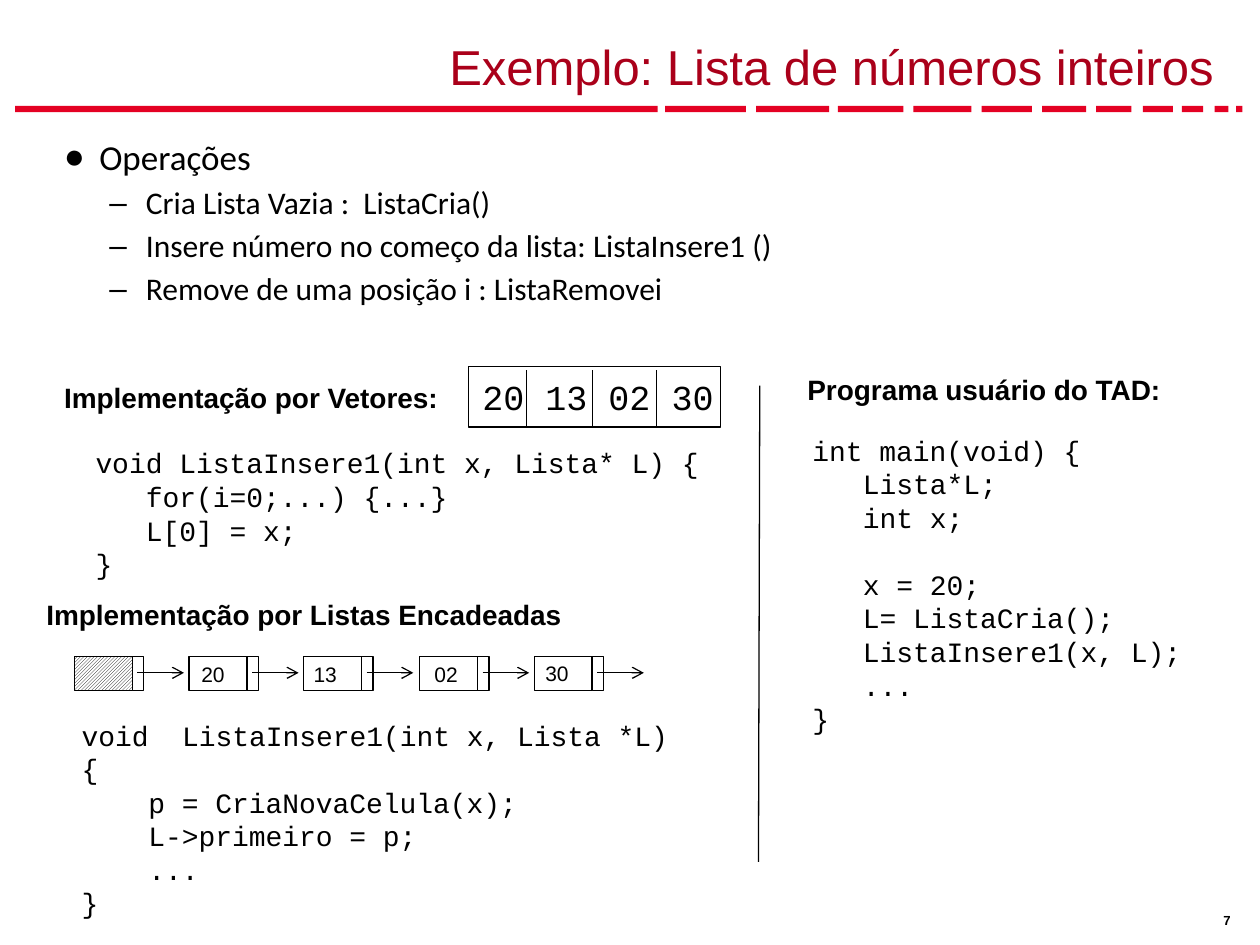
from dataclasses import dataclass

from lxml import etree
from pptx import Presentation
from pptx.dml.color import RGBColor as Rgb
from pptx.enum.dml import MSO_PATTERN as Pattern
from pptx.enum.shapes import MSO_CONNECTOR as Connector, MSO_SHAPE as Shape
from pptx.enum.text import MSO_ANCHOR as Anchor, PP_ALIGN as Align
from pptx.oxml.ns import qn
from pptx.util import Pt

PX = 9144  # 100 px to the inch


@dataclass(frozen=True)
class Theme:
    black: Rgb = Rgb(0, 0, 0)
    white: Rgb = Rgb(255, 255, 255)
    bar: Rgb = Rgb(0xE4, 0x01, 0x23)
    title: Rgb = Rgb(0xAA, 0x00, 0x1A)
    sans: str = "Arial"
    body: str = "Calibri"
    mono: str = "Courier New"
    title_size: float = 28
    big_size: float = 20
    item_size: float = 18
    text_size: float = 16
    cell_size: float = 12
    number_size: float = 7.5
    line: float = 0.75


theme = Theme()
deck = Presentation()
deck.slide_width, deck.slide_height = 1000 * PX, 750 * PX
page = deck.slides.add_slide(deck.slide_layouts[6])


def add_text(at, lines, font, size, color=theme.black, bold=False, wrap=True, inset=(10, 5)):
    box = page.shapes.add_textbox(*(value * PX for value in at))
    frame = box.text_frame
    frame.word_wrap = wrap
    frame.margin_left = frame.margin_right = inset[0] * PX
    frame.margin_top = frame.margin_bottom = inset[1] * PX
    frame.text = "\n".join(lines)
    for para in frame.paragraphs:
        para.font.name, para.font.size, para.font.bold = font, Pt(size), bold
        para.font.color.rgb = color
    return frame


def add_line(x1, y1, x2, y2, arrow=False):
    line = page.shapes.add_connector(Connector.STRAIGHT, x1 * PX, y1 * PX, x2 * PX, y2 * PX)
    line.line.color.rgb, line.line.width = theme.black, Pt(theme.line)
    if arrow:
        etree.SubElement(line.line._get_or_add_ln(), qn("a:tailEnd"), type="arrow")
    etree.SubElement(line._element.spPr, qn("a:effectLst"))


# Dashed bar under the title: left and width of each piece
pieces = [(12, 510), (528, 64), (600, 58), (665, 52), (725, 46), (779, 40),
          (827, 35), (870, 28), (907, 24), (938, 17), (964, 11), (981, 5)]
for left, width in pieces:
    piece = page.shapes.add_shape(Shape.RECTANGLE, left * PX, 84 * PX, width * PX, 5 * PX)
    piece.shadow.inherit = False
    piece.fill.solid()
    piece.fill.fore_color.rgb = theme.bar
    piece.line.fill.background()

# Title and page number
title = add_text((31, 8, 942, 73), ["Exemplo: Lista de números inteiros"],
                 theme.sans, theme.title_size, theme.title)
title.vertical_anchor = Anchor.BOTTOM
title.paragraphs[0].alignment = Align.RIGHT
add_text((963, 720, 33, 20), ["7"], theme.sans, theme.number_size, bold=True, inset=(8, 4))

# Operations: one heading and its items
operations = add_text((31, 103, 946, 180), [
    "Operações",
    "Cria Lista Vazia :  ListaCria()",
    "Insere número no começo da lista: ListaInsere1 ()",
    "Remove de uma posição i : ListaRemovei",
], theme.body, theme.item_size)
for index, para in enumerate(operations.paragraphs):
    if index == 0:
        mark, margin, hang, before = "●", 38, 28, 3.6
        para.font.size = Pt(theme.big_size)
    else:
        mark, margin, hang, before = "–", 75, 29, 3
        para.level = 1
    para.space_before = Pt(before)
    props = para._p.get_or_add_pPr()
    props.set("marL", str(margin * PX))
    props.set("indent", str(-hang * PX))
    etree.SubElement(props, qn("a:buFont"), typeface=theme.sans)
    etree.SubElement(props, qn("a:buChar"), char=mark)

# Section headings
for at, heading in [
    ((41, 297, 319, 37), "Implementação por Vetores:"),
    ((27, 469, 430, 37), "Implementação por Listas Encadeadas"),
    ((631, 291, 303, 37), "Programa usuário do TAD:"),
]:
    add_text(at, [heading], theme.sans, theme.text_size, bold=True, wrap=False)

# Array of numbers
array = page.shapes.add_shape(Shape.RECTANGLE, 372 * PX, 291 * PX, 200 * PX, 48 * PX)
array.shadow.inherit = False
array.fill.background()
array.line.color.rgb, array.line.width = theme.black, Pt(theme.line)
add_text((373, 293, 210, 43), ["20 13 02 30"], theme.mono, theme.big_size)
for x in (418, 470, 521):
    add_line(x, 294, x, 338)

# Linked list: a head cell, then four numbered cells
for index in range(5):
    left = 59 + round(91.25 * index)
    for x, width in ((left, 46), (left + 46, 9)):
        cell = page.shapes.add_shape(Shape.RECTANGLE, x * PX, 521 * PX, width * PX, 27 * PX)
        cell.shadow.inherit = False
        cell.line.color.rgb, cell.line.width = theme.black, Pt(theme.line)
        if x == 59:
            cell.fill.patterned()
            cell.fill.pattern = Pattern.LIGHT_UPWARD_DIAGONAL
            cell.fill.fore_color.rgb, cell.fill.back_color.rgb = theme.black, theme.white
        else:
            cell.fill.solid()
            cell.fill.fore_color.rgb = theme.white
    add_line(left + 50, 534, left + 87, 534, arrow=True)
for left, top, number in [(150, 520, "20"), (239, 520, "13"), (335, 520, "02"), (423, 519, "30")]:
    add_text((left, top, 57, 27), [number], theme.sans, theme.cell_size)

# Code: inner lines are indented, 40 px for three characters and 53 for four
for at, indent, code in [
    ((66, 349, 505, 118), 40,
     ["void ListaInsere1(int x, Lista* L) {", "for(i=0;...) {...}", "L[0] = x;", "}"]),
    ((55, 565, 500, 172), 53,
     ["void  ListaInsere1(int x, Lista *L) {", "p = CriaNovaCelula(x);",
      "L->primeiro = p;", "...", "}"]),
    ((635, 339, 346, 252), 40,
     ["int main(void) {", "Lista*L;", "int x;", "x = 20;", "L= ListaCria();",
      "ListaInsere1(x, L);", "...", "}"]),
]:
    frame = add_text(at, code, theme.mono, theme.text_size)
    for para in frame.paragraphs[1:-1]:
        para._p.get_or_add_pPr().set("marL", str(indent * PX))
        if para.text == "x = 20;":
            para.space_before = Pt(19)

# Divider between the columns
add_line(603, 306, 602, 684)

deck.save("out.pptx")
